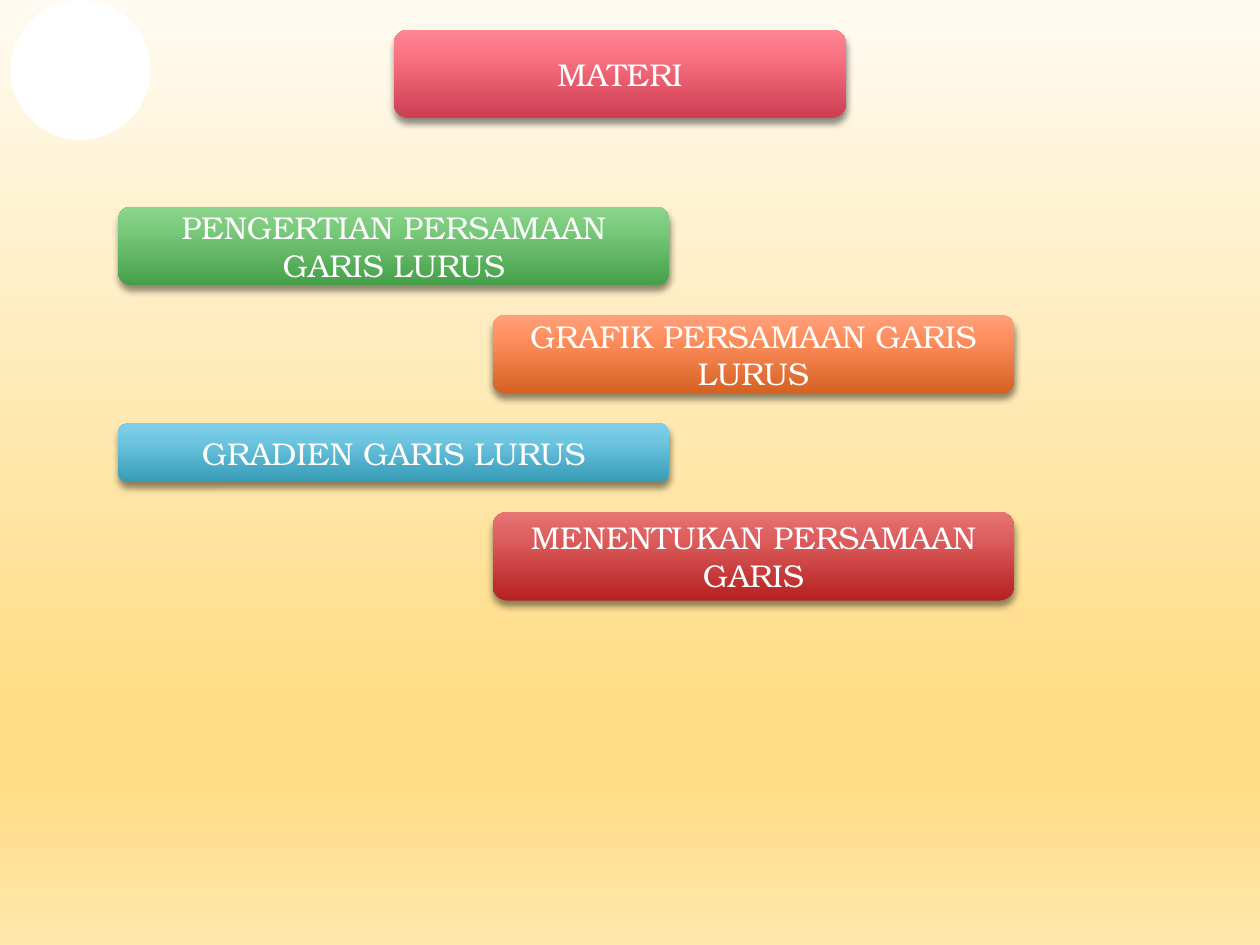
"""Build the MATERI topic slide with a title button and four staggered topic buttons."""
from copy import deepcopy
from dataclasses import dataclass

from lxml.etree import SubElement
from pptx import Presentation
from pptx.dml.color import RGBColor
from pptx.dml.fill import FillFormat
from pptx.enum.shapes import MSO_SHAPE as SHAPE
from pptx.enum.text import MSO_ANCHOR as ANCHOR, PP_ALIGN as ALIGN
from pptx.oxml.ns import qn
from pptx.slide import Slide
from pptx.util import Pt

FONT = "TeX Gyre Bonum"
GAP = 16.9
LEFT_COLUMN = (67.5, 315)
RIGHT_COLUMN = (281.5, 298)


@dataclass
class Button:
    text: str
    column: tuple[float, float]
    height: float
    colours: tuple[str, str, str]


TITLE = Button("MATERI", (225, 258.5), 50.6, ("CE3D51", "FA7484", "FF8693"))
TOPICS = [
    Button("PENGERTIAN PERSAMAAN GARIS LURUS", LEFT_COLUMN, 45, ("459F48", "7ACA7C", "8CD58E")),
    Button("GRAFIK PERSAMAAN GARIS LURUS", RIGHT_COLUMN, 45, ("D56122", "FF9060", "FFA07B")),
    Button("GRADIEN GARIS LURUS", LEFT_COLUMN, 33.8, ("369BB6", "6FC6E1", "81D0EA")),
    Button("MENENTUKAN PERSAMAAN GARIS", RIGHT_COLUMN, 50.6, ("B5201F", "DD5F5F", "E77675")),
]
BACKGROUND = [(0, "FFFBF2"), (0.74, "FFDD86"), (0.83, "FFDD86"), (1, "FFE8AE")]


def rgb(colour: str) -> RGBColor:
    return RGBColor.from_string(colour)


def set_gradient(fill: FillFormat, element, stops: list[tuple[float, str]], angle: float) -> None:
    fill.gradient()
    fill.gradient_angle = angle
    gs_lst = element.find(".//" + qn("a:gsLst"))
    for _ in stops[2:]:
        gs_lst.append(deepcopy(gs_lst[0]))
    for stop, (position, colour) in zip(fill.gradient_stops, stops):
        stop.position = position
        stop.color.rgb = rgb(colour)


def add_shadow(sp) -> None:
    effects = SubElement(sp._element.spPr, qn("a:effectLst"))
    shadow = SubElement(effects, qn("a:outerShdw"), blurRad=str(Pt(4)), dist=str(Pt(3)),
                        dir="5400000", rotWithShape="0")
    colour = SubElement(shadow, qn("a:srgbClr"), val="000000")
    SubElement(colour, qn("a:alpha"), val="43000")


def add_button(slide: Slide, button: Button, top: float) -> None:
    left, width = button.column
    sp = slide.shapes.add_shape(SHAPE.ROUNDED_RECTANGLE, Pt(left), Pt(top), Pt(width), Pt(button.height))
    set_gradient(sp.fill, sp._element, list(zip((0, 0.72, 1), button.colours)), 90)
    sp.line.fill.background()
    add_shadow(sp)
    tf = sp.text_frame
    tf.text = button.text
    tf.word_wrap = True
    tf.vertical_anchor = ANCHOR.MIDDLE
    p = tf.paragraphs[0]
    p.alignment = ALIGN.CENTER
    font = p.runs[0].font
    font.name = FONT
    font.size = Pt(18)
    font.color.rgb = rgb("FFFFFF")


def add_disc(slide: Slide, left: float, top: float, size: float, colour: str) -> None:
    sp = slide.shapes.add_shape(SHAPE.OVAL, Pt(left), Pt(top), Pt(size), Pt(size))
    sp.shadow.inherit = False
    sp.fill.solid()
    sp.fill.fore_color.rgb = rgb(colour)
    sp.line.fill.background()


def main() -> None:
    prs = Presentation()
    prs.slide_width, prs.slide_height = Pt(720), Pt(540)
    slide = prs.slides.add_slide(prs.slide_layouts[6])
    set_gradient(slide.background.fill, slide._element, BACKGROUND, 270)
    add_button(slide, TITLE, GAP)
    top = 118.1
    for topic in TOPICS:
        add_button(slide, topic, top)
        top += topic.height + GAP
    add_disc(slide, 6, 0, 80, "FFFFFF")
    prs.save("out.pptx")


if __name__ == "__main__":
    main()
